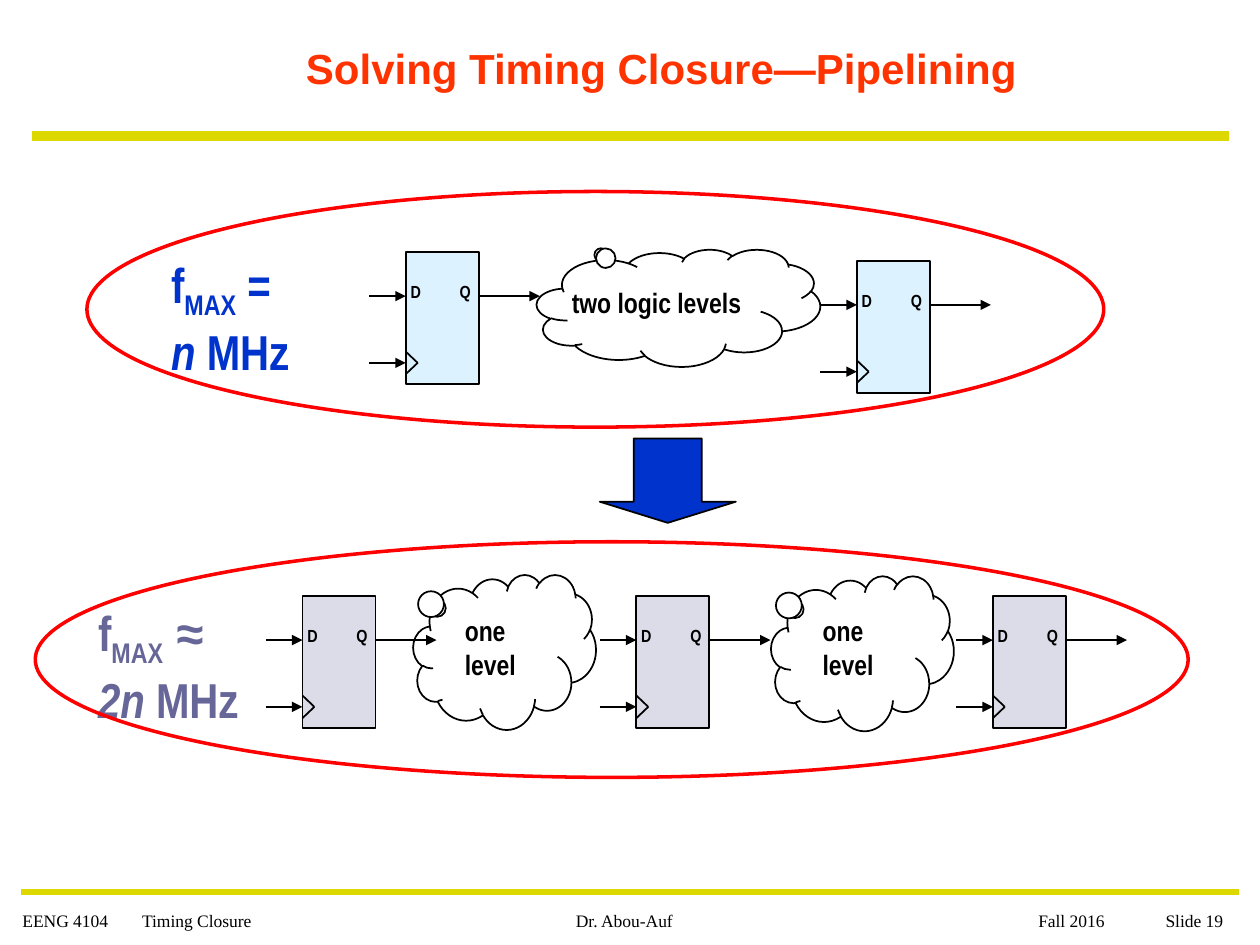
"""Build the pipelining slide on a grid of 100 columns by 75 rows."""
from dataclasses import dataclass
from typing import NamedTuple, Optional

import pptx
import pptx.dml.color
import pptx.enum.shapes
import pptx.enum.text
import pptx.oxml.ns
import pptx.util
from lxml import etree

SHAPE = pptx.enum.shapes.MSO_SHAPE
ALIGN = pptx.enum.text.PP_ALIGN
ANCHOR = pptx.enum.text.MSO_ANCHOR
COLS, ROWS = 100, 75
WIDTH, HEIGHT = pptx.util.Inches(10), pptx.util.Inches(7.5)


@dataclass(frozen=True)
class Theme:
    ink: str = "000000"
    paper: str = "FFFFFF"
    rule: str = "DDD800"
    title: str = "FF3300"
    ring: str = "FF0000"
    before: str = "0033CC"
    after: str = "666699"
    before_fill: str = "DDF2FF"
    after_fill: str = "DCDCE8"
    sans: str = "Arial"
    narrow: str = "Arial Narrow"
    serif: str = "Times New Roman"
    title_size: int = 24
    label_size: int = 28
    cloud_size: int = 16
    small_size: int = 10


class Box(NamedTuple):
    col: float
    row: float
    width: float
    height: float


class Run(NamedTuple):
    text: str
    size: int
    color: str
    font: str
    bold: bool = True
    italic: bool = False
    baseline: int = 0


class FlipFlop(NamedTuple):
    col: float
    row: float
    fill: str


class Cloud(NamedTuple):
    box: Box
    tail: tuple[float, float]
    text: str
    text_box: Box


class Footer(NamedTuple):
    box: Box
    text: str
    align: ALIGN
    inset: float = 1
    tab: Optional[float] = None


T = Theme()
FLIP_FLOPS = [FlipFlop(32.2, 20, T.before_fill), FlipFlop(68, 20.7, T.before_fill)]
FLIP_FLOPS += [FlipFlop(col, 47.3, T.after_fill) for col in (24, 50.5, 78.8)]
CLOUDS = [Cloud(Box(42.6, 19.8, 22.5, 9.3), (-0.272, -0.451),
                "two logic levels", Box(44.4, 22.2, 19.2, 3.7))]
CLOUDS += [Cloud(Box(col, row, 14.5, 12.3), (-0.375, -0.287),
                 "one level", Box(col + 3.1, 48.2, 7.5, 6.4))
           for col, row in ((32.8, 45.6), (61.2, 45.7))]
RINGS = [Box(6.9, 15.2, 80.7, 18.7), Box(2.8, 43, 91.5, 18.7)]
FOOTERS = [Footer(Box(0.8, 71.7, 33.3, 3.3), "EENG 4104\tTiming Closure", ALIGN.LEFT, 1, 9.5),
           Footer(Box(40.8, 71.7, 17.5, 3.3), "Dr. Abou-Auf", ALIGN.CENTER),
           Footer(Box(80, 71.7, 19.2, 3.3), "Fall 2016\tSlide 19", ALIGN.LEFT, 2.4, 10.1)]


def x(cols: float) -> int:
    return round(WIDTH * cols / COLS)


def y(rows: float) -> int:
    return round(HEIGHT * rows / ROWS)


def place(box: Box) -> tuple[int, int, int, int]:
    return x(box.col), y(box.row), x(box.width), y(box.height)


def rgb(color: str) -> pptx.dml.color.RGBColor:
    return pptx.dml.color.RGBColor.from_string(color)


def add_line(s, start: tuple[float, float], end: tuple[float, float],
             color: str = T.ink, width: float = 1, arrow: bool = False) -> None:
    line = s.shapes.add_connector(pptx.enum.shapes.MSO_CONNECTOR.STRAIGHT,
                                  x(start[0]), y(start[1]), x(end[0]), y(end[1]))
    line.line.color.rgb = rgb(color)
    line.line.width = pptx.util.Pt(width)
    if arrow:
        etree.SubElement(line.line._get_or_add_ln(), pptx.oxml.ns.qn("a:tailEnd"), type="triangle")
    etree.SubElement(line._element.spPr, pptx.oxml.ns.qn("a:effectLst"))


def add_figure(s, kind: SHAPE, box: Box, fill: Optional[str],
               line: str = T.ink, width: float = 1):
    sp = s.shapes.add_shape(kind, *place(box))
    sp.shadow.inherit = False
    if fill:
        sp.fill.solid()
        sp.fill.fore_color.rgb = rgb(fill)
    else:
        sp.fill.background()
    sp.line.color.rgb = rgb(line)
    sp.line.width = pptx.util.Pt(width)
    return sp


def add_text(s, box: Box, lines: list[list[Run]], align: ALIGN = ALIGN.LEFT,
             anchor: ANCHOR = ANCHOR.TOP, wrap: bool = True,
             inset: float = 1, tab: Optional[float] = None) -> None:
    tf = s.shapes.add_textbox(*place(box)).text_frame
    tf.word_wrap, tf.vertical_anchor, tf.margin_left = wrap, anchor, x(inset)
    for i, runs in enumerate(lines):
        p = tf.add_paragraph() if i else tf.paragraphs[0]
        p.alignment = align
        if tab:
            stops = etree.SubElement(p._p.get_or_add_pPr(), pptx.oxml.ns.qn("a:tabLst"))
            etree.SubElement(stops, pptx.oxml.ns.qn("a:tab"), pos=str(x(tab)), algn="l")
        for run in runs:
            r = p.add_run()
            r.text = run.text
            r.font.size, r.font.name = pptx.util.Pt(run.size), run.font
            r.font.bold, r.font.italic = run.bold, run.italic
            r.font.color.rgb = rgb(run.color)
            if run.baseline:
                r.font._element.set("baseline", str(run.baseline * 1000))


def add_flip_flop(s, ff: FlipFlop) -> None:
    left, right = ff.col, ff.col + 5.8
    data, clock = ff.row + 3.5, ff.row + 8.8
    add_figure(s, SHAPE.RECTANGLE, Box(left, ff.row, 5.8, 10.5), ff.fill)
    for edge in (-0.9, 0.9):
        add_line(s, (left, clock + edge), (left + 0.95, clock))
    for pin, offset in (("D", -0.6), ("Q", 3.3)):
        add_text(s, Box(left + offset, ff.row + 1.8, 2.8, 2.6),
                 [[Run(pin, T.small_size, T.ink, T.narrow)]], wrap=False)
    for row in (clock, data):
        add_line(s, (left - 2.9, row), (left, row), arrow=True)
    add_line(s, (right, data), (right + 4.85, data), arrow=True)


def add_cloud(s, cloud: Cloud) -> None:
    sp = add_figure(s, SHAPE.CLOUD_CALLOUT, cloud.box, T.paper)
    for i, value in enumerate(cloud.tail):
        sp.adjustments[i] = value
    add_text(s, cloud.text_box, [[Run(cloud.text, T.cloud_size, T.ink, T.narrow)]])


def add_frequency(s, box: Box, color: str, sign: str, sign_font: str, factor: str) -> None:
    size = T.label_size
    add_text(s, box, [[Run("f", size, color, T.narrow),
                       Run("MAX", size, color, T.narrow, baseline=-25),
                       Run(f" {sign}", size, color, sign_font)],
                      [Run(f"{factor} ", size, color, T.narrow, italic=True),
                       Run("MHz", size, color, T.narrow)]], wrap=False)


def main() -> None:
    prs = pptx.Presentation()
    prs.slide_width, prs.slide_height = WIDTH, HEIGHT
    s = prs.slides.add_slide(prs.slide_layouts[6])
    add_line(s, (2.5, 10.8), (97.5, 10.8), T.rule, 6)
    add_line(s, (1.7, 70.8), (98.3, 70.8), T.rule, 3)
    add_text(s, Box(12.5, 0, 80, 10.8),
             [[Run("Solving Timing Closure—Pipelining", T.title_size, T.title, T.sans)]],
             ALIGN.CENTER, ANCHOR.MIDDLE)
    add_figure(s, SHAPE.DOWN_ARROW, Box(47.6, 34.8, 10.8, 6.7), T.before).adjustments[1] = 0.25
    add_frequency(s, Box(12.6, 19.7, 11.5, 10.3), T.before, "=", T.narrow, "n")
    add_frequency(s, Box(6.8, 47.3, 13.2, 10.3), T.after, "≈", T.sans, "2n")
    for cloud in CLOUDS:
        add_cloud(s, cloud)
    for ff in FLIP_FLOPS:
        add_flip_flop(s, ff)
    for ring in RINGS:
        add_figure(s, SHAPE.OVAL, ring, None, T.ring, 2)
    for footer in FOOTERS:
        add_text(s, footer.box, [[Run(footer.text, T.small_size, T.ink, T.serif, bold=False)]],
                 footer.align, inset=footer.inset, tab=footer.tab)
    prs.save("out.pptx")


if __name__ == "__main__":
    main()
